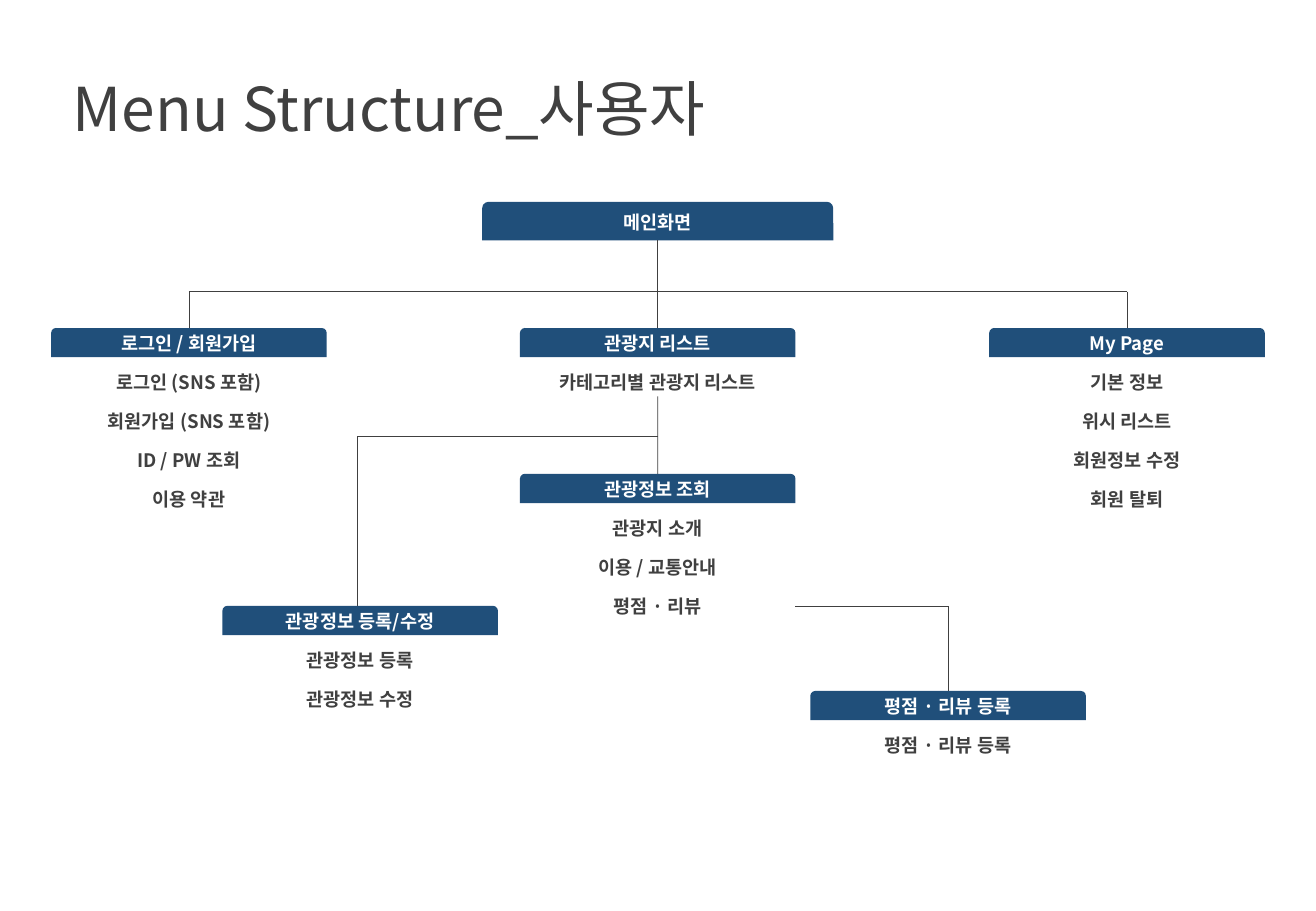
from dataclasses import dataclass
from typing import Any, Optional

from lxml.etree import SubElement
from pptx import Presentation
from pptx.dml.color import RGBColor
from pptx.enum.shapes import MSO_CONNECTOR as Connector, MSO_SHAPE as Shape
from pptx.enum.text import MSO_ANCHOR as Anchor, PP_ALIGN as Align
from pptx.oxml.ns import qn
from pptx.util import Cm, Pt

COLORS = {"navy": "204F7A", "ink": "404040", "white": "FFFFFF"}
FONT = "Noto Sans CJK KR"
MENU_WIDTH = 5.76
ROW_HEIGHT = 0.61
ROW_PITCH = 0.82
TOP_ROW = 6.86
TOP_RAIL = 6.1
MIDDLE_RAIL = 9.12
CENTER_LEFT = 10.87
LOGIN_X, CENTER_X, MY_PAGE_X = 3.95, 13.75, 23.56
REGISTER_X, REVIEW_X = 7.47, 19.83
REGISTER_TOP, REVIEW_TOP, DETAIL_TOP = 12.67, 14.45, 9.91
MAIN_TOP, MAIN_HEIGHT = 4.22, 0.81
REVIEW_ITEM_Y = DETAIL_TOP + 3 * ROW_PITCH + ROW_HEIGHT / 2


@dataclass(frozen=True)
class Menu:
    left: float
    top: float
    heading: str
    items: tuple[str, ...] = ()
    width: float = MENU_WIDTH
    height: float = ROW_HEIGHT


@dataclass(frozen=True)
class Line:
    start: tuple[float, float]
    end: tuple[float, float]
    source: Optional[str] = None
    side: int = 2


MENUS = (
    Menu(10.08, MAIN_TOP, "메인화면", width=7.34, height=MAIN_HEIGHT),
    Menu(1.07, TOP_ROW, "로그인 / 회원가입",
         ("로그인 (SNS 포함)", "회원가입 (SNS 포함)", "ID / PW 조회", "이용 약관")),
    Menu(CENTER_LEFT, TOP_ROW, "관광지 리스트", ("카테고리별 관광지 리스트",)),
    Menu(20.68, TOP_ROW, "My Page",
         ("기본 정보", "위시 리스트", "회원정보 수정", "회원 탈퇴")),
    Menu(CENTER_LEFT, DETAIL_TOP, "관광정보 조회",
         ("관광지 소개", "이용 / 교통안내", "평점 · 리뷰")),
    Menu(4.65, REGISTER_TOP, "관광정보 등록/수정", ("관광정보 등록", "관광정보 수정")),
    Menu(16.94, REVIEW_TOP, "평점 · 리뷰 등록", ("평점 · 리뷰 등록",)),
)

LINES = (
    Line((CENTER_X, MAIN_TOP + MAIN_HEIGHT), (CENTER_X, TOP_ROW)),
    Line((LOGIN_X, TOP_RAIL), (MY_PAGE_X, TOP_RAIL)),
    Line((LOGIN_X, TOP_RAIL), (LOGIN_X, TOP_ROW)),
    Line((MY_PAGE_X, TOP_RAIL), (MY_PAGE_X, TOP_ROW)),
    Line((CENTER_X, TOP_ROW + ROW_PITCH + ROW_HEIGHT), (CENTER_X, DETAIL_TOP),
         "카테고리별 관광지 리스트", 2),
    Line((REGISTER_X, MIDDLE_RAIL), (CENTER_X, MIDDLE_RAIL)),
    Line((REGISTER_X, MIDDLE_RAIL), (REGISTER_X, REGISTER_TOP)),
    Line((CENTER_LEFT + MENU_WIDTH, REVIEW_ITEM_Y), (REVIEW_X, REVIEW_ITEM_Y),
         "평점 · 리뷰", 3),
    Line((REVIEW_X, REVIEW_ITEM_Y), (REVIEW_X, REVIEW_TOP)),
)


def apply_format(target: Any, values: dict[str, Any]) -> None:
    for name, value in values.items():
        setattr(target, name, value)


def color(name: str) -> RGBColor:
    return RGBColor.from_string(COLORS[name])


def write_text(box: Any, text: str, ink: str, size: float, bold: bool,
               align: Align) -> None:
    para = box.text_frame.paragraphs[0]
    para.alignment = align
    span = para.add_run()
    span.text = text
    apply_format(span.font, {"name": FONT, "size": Pt(size), "bold": bold})
    span.font.color.rgb = color(ink)
    SubElement(span.font._element, qn("a:ea"), typeface=FONT)


def add_title(page: Any, text: str) -> None:
    title = page.shapes.title
    apply_format(title, {"left": Cm(1.27), "top": Cm(1.37),
                         "width": Cm(14.22), "height": Cm(1.78)})
    apply_format(title.text_frame, {"word_wrap": True,
                                    "vertical_anchor": Anchor.TOP})
    write_text(title, text, "ink", 35.8, False, Align.LEFT)


def add_box(page: Any, kind: Shape, menu: Menu, row: int, text: str,
            fill: str, ink: str) -> Any:
    box = page.shapes.add_shape(
        kind, Cm(menu.left), Cm(menu.top + row * ROW_PITCH),
        Cm(menu.width), Cm(menu.height))
    box.shadow.inherit = False
    box.fill.solid()
    box.fill.fore_color.rgb = color(fill)
    box.line.fill.background()
    apply_format(box.text_frame, {
        "word_wrap": True, "vertical_anchor": Anchor.MIDDLE,
        "margin_top": 0, "margin_bottom": 0})
    write_text(box, text, ink, 11, True, Align.CENTER)
    return box


def add_menu(page: Any, menu: Menu) -> dict[str, Any]:
    add_box(page, Shape.ROUND_2_SAME_RECTANGLE, menu, 0, menu.heading,
            "navy", "white")
    return {item: add_box(page, Shape.RECTANGLE, menu, row, item, "white", "ink")
            for row, item in enumerate(menu.items, start=1)}


def add_line(page: Any, line: Line, items: dict[str, Any]) -> None:
    connector = page.shapes.add_connector(
        Connector.STRAIGHT, *map(Cm, line.start + line.end))
    connector.line.width = Pt(0.5)
    connector.line.color.rgb = color("ink")
    SubElement(connector._element.spPr, qn("a:effectLst"))
    if line.source:
        connector.begin_connect(items[line.source], line.side)


def main() -> None:
    deck = Presentation()
    apply_format(deck, {"slide_width": Cm(27.51), "slide_height": Cm(19.05)})
    page = deck.slides.add_slide(deck.slide_layouts.get_by_name("Title Only"))
    add_title(page, "Menu Structure_사용자")
    items: dict[str, Any] = {}
    for menu in MENUS:
        items.update(add_menu(page, menu))
    for line in LINES:
        add_line(page, line, items)
    deck.save("out.pptx")


if __name__ == "__main__":
    main()
